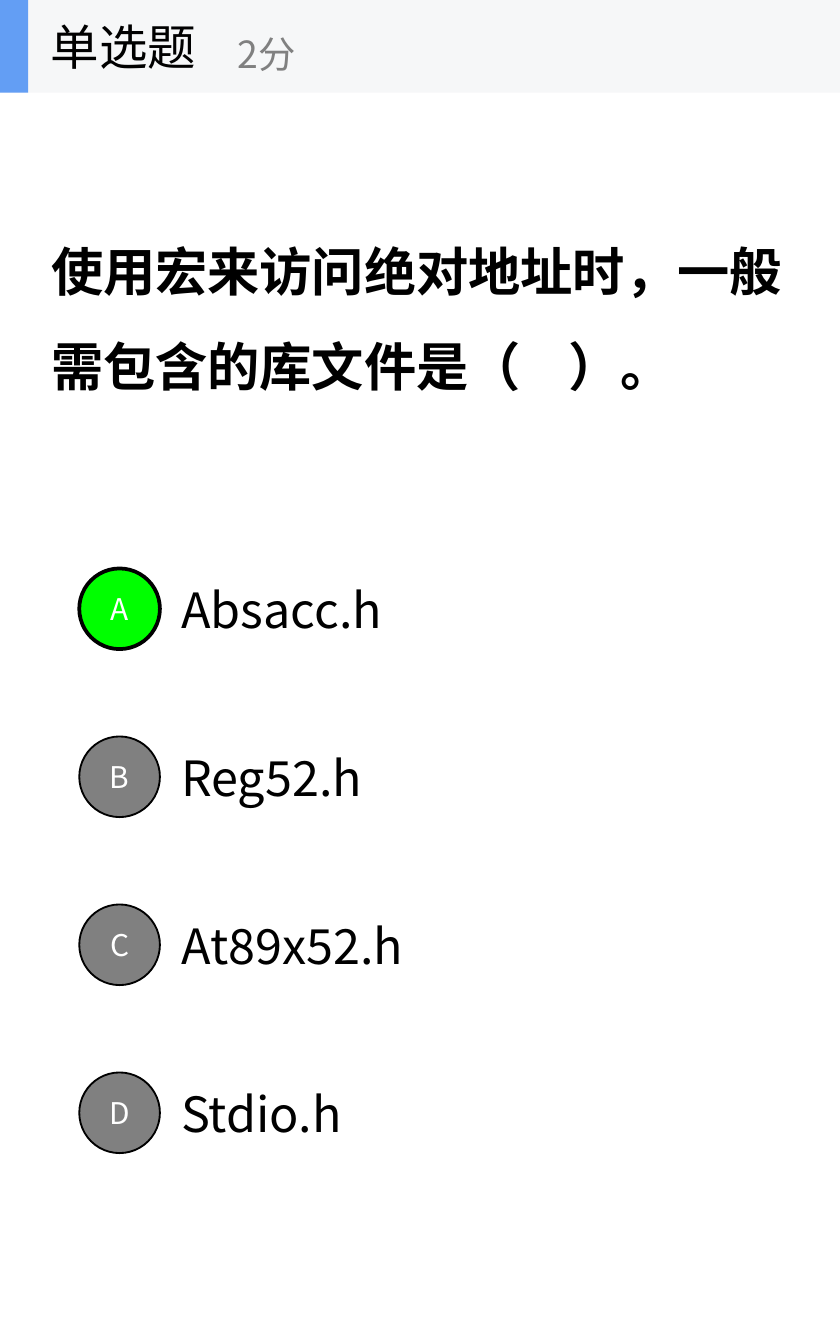
from lxml.etree import SubElement
from pptx import Presentation
from pptx.dml.color import RGBColor
from pptx.enum.shapes import MSO_SHAPE
from pptx.enum.text import MSO_ANCHOR, MSO_AUTO_SIZE, PP_ALIGN
from pptx.oxml.ns import qn
from pptx.util import Inches, Pt

FONT = "Noto Sans CJK SC"
WIDTH, HEIGHT = 6.25, 10
HEADER_HEIGHT = 0.69
MARGIN = 0.28
FIRST_ROW, ROW_STEP, ROW_HEIGHT = 4.06, 1.25, 0.94
BADGE_LEFT, BADGE_SIZE = 0.59, 0.6
BLACK, WHITE, GRAY, GREEN = "000000", "FFFFFF", "808080", "00FF00"

QUESTION = "使用宏来访问绝对地址时，一般需包含的库文件是（    ）。"
OPTIONS = ["Absacc.h", "Reg52.h", "At89x52.h", "Stdio.h"]
ANSWER = "A"


def color(value):
    return RGBColor.from_string(value)


def box(*lengths):
    return [Inches(length) for length in lengths]


def write(frame, text, size, ink, align=PP_ALIGN.LEFT, bold=False, wrap=True):
    frame.word_wrap = wrap
    frame.auto_size = MSO_AUTO_SIZE.NONE
    frame.vertical_anchor = MSO_ANCHOR.MIDDLE
    paragraph = frame.paragraphs[0]
    paragraph.alignment = align
    run = paragraph.add_run()
    run.text = text
    font = run.font
    font.name, font.size, font.bold = FONT, Pt(size), bold
    font.color.rgb = color(ink)
    # Chinese characters take their typeface from a:ea
    SubElement(font._element, qn("a:ea")).set("typeface", FONT)
    return paragraph


def add_label(shapes, area, text, size, ink=BLACK, wrap=True):
    label = shapes.add_textbox(*box(*area))
    write(label.text_frame, text, size, ink, wrap=wrap)


def add_filled(shapes, kind, area, fill, line_width=0):
    filled = shapes.add_shape(kind, *box(*area))
    filled.shadow.inherit = False
    filled.fill.solid()
    filled.fill.fore_color.rgb = color(fill)
    if line_width:
        filled.line.color.rgb = color(BLACK)
        filled.line.width = Pt(line_width)
    else:
        filled.line.fill.background()
    return filled


def add_question(slide):
    title = slide.shapes.title
    title.left, title.top, title.width, title.height = box(
        MARGIN, HEADER_HEIGHT, WIDTH - 2 * MARGIN, 3.12)
    paragraph = write(title.text_frame, QUESTION, 28, BLACK, bold=True)
    paragraph.line_spacing = 1.5


def add_option(shapes, row, text):
    letter = "ABCD"[row]
    correct = letter == ANSWER
    top = FIRST_ROW + row * ROW_STEP
    add_label(shapes, (1.25, top, 0.7 * WIDTH, ROW_HEIGHT), text, 26)
    badge_top = top + (ROW_HEIGHT - BADGE_SIZE) / 2
    badge = add_filled(shapes, MSO_SHAPE.OVAL,
                       (BADGE_LEFT, badge_top, BADGE_SIZE, BADGE_SIZE),
                       GREEN if correct else GRAY, 2 if correct else 1)
    write(badge.text_frame, letter, 16, WHITE, PP_ALIGN.CENTER)


def add_header(slide):
    header = slide.shapes.add_group_shape().shapes
    for width, fill in [(WIDTH, "F6F7F8"), (0.21, "639EF4")]:
        add_filled(header, MSO_SHAPE.RECTANGLE, (0, 0, width, HEADER_HEIGHT), fill)
    add_label(header, (MARGIN, 0, 2.08, HEADER_HEIGHT), "单选题", 26, wrap=False)
    add_label(header, (1.67, 0.12, 2.5, 0.56), "2分", 20, GRAY, wrap=False)


def main():
    presentation = Presentation()
    presentation.slide_width, presentation.slide_height = box(WIDTH, HEIGHT)
    slide = presentation.slides.add_slide(presentation.slide_layouts.get_by_name("Title Only"))
    slide.background.fill.solid()
    slide.background.fill.fore_color.rgb = color(WHITE)
    add_question(slide)
    for row, text in enumerate(OPTIONS):
        add_option(slide.shapes, row, text)
    add_header(slide)
    presentation.save("out.pptx")


if __name__ == "__main__":
    main()
